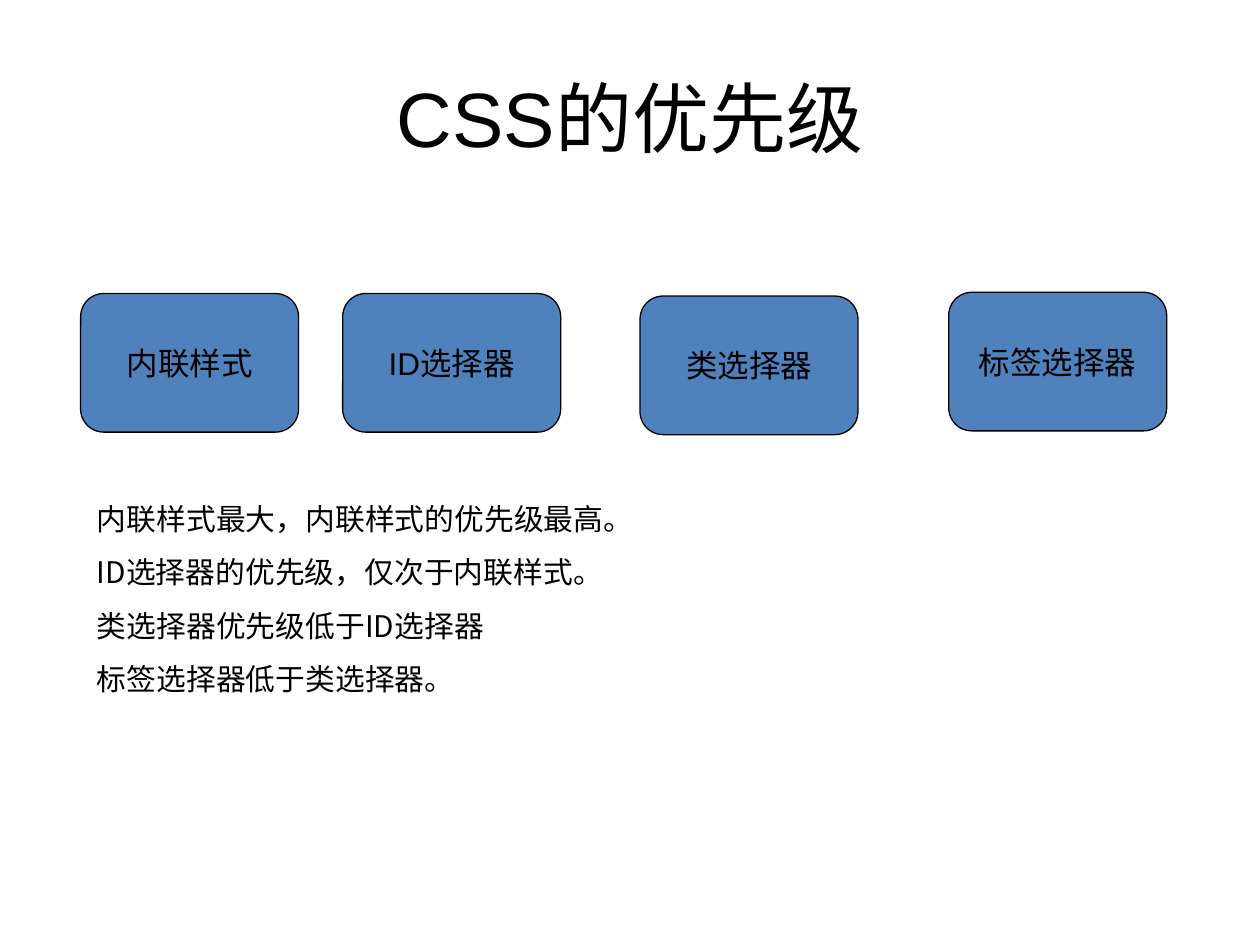
from pptx import Presentation
from pptx.dml.color import RGBColor
from pptx.enum.shapes import MSO_SHAPE
from pptx.enum.text import MSO_ANCHOR, PP_ALIGN
from pptx.oxml.ns import qn
from pptx.util import Inches, Pt
from lxml.etree import SubElement

COLORS = {"text": "000000", "box": "4F81BD", "outline": "000000"}
LATIN_FONT = "Arial"
CHINESE_FONT = "Noto Sans CJK SC"

BOX_WIDTH, BOX_HEIGHT = 1.73, 1.1
SELECTORS = [  # label, left, top
    ("内联样式", 0.64, 2.33),
    ("ID选择器", 2.72, 2.33),
    ("类选择器", 5.08, 2.35),
    ("标签选择器", 7.53, 2.32),
]
RULES = [
    "内联样式最大，内联样式的优先级最高。",
    "ID选择器的优先级，仅次于内联样式。",
    "类选择器优先级低于ID选择器",
    "标签选择器低于类选择器。",
]


def color(name):
    return RGBColor.from_string(COLORS[name])


def format_text(text_frame, size, font_name, alignment):
    for paragraph in text_frame.paragraphs:
        paragraph.alignment = alignment
        for run in paragraph.runs:
            run.font.size = Pt(size)
            run.font.name = font_name
            run.font.color.rgb = color("text")
            east_asian = SubElement(run.font._element, qn("a:ea"))
            east_asian.set("typeface", CHINESE_FONT)


def add_text(slide, text, left, top, width, height):
    shape = slide.shapes.add_textbox(
        Inches(left), Inches(top), Inches(width), Inches(height))
    text_frame = shape.text_frame
    text_frame.word_wrap = True
    text_frame.text = text
    return text_frame


def add_title(slide):
    text_frame = add_text(slide, "CSS的优先级", 0.5, 0.3, 9, 1.25)
    text_frame.vertical_anchor = MSO_ANCHOR.MIDDLE
    format_text(text_frame, 44, LATIN_FONT, PP_ALIGN.CENTER)


def add_selector(slide, label, left, top):
    shape = slide.shapes.add_shape(
        MSO_SHAPE.ROUNDED_RECTANGLE, Inches(left), Inches(top),
        Inches(BOX_WIDTH), Inches(BOX_HEIGHT))
    shape.shadow.inherit = False
    shape.fill.solid()
    shape.fill.fore_color.rgb = color("box")
    shape.line.color.rgb = color("outline")
    shape.line.width = Pt(0.75)
    text_frame = shape.text_frame
    text_frame.word_wrap = False
    text_frame.vertical_anchor = MSO_ANCHOR.MIDDLE
    text_frame.text = label
    format_text(text_frame, 18, LATIN_FONT, PP_ALIGN.CENTER)


def add_rules(slide):
    text_frame = add_text(slide, "\n".join(RULES), 0.67, 3.83, 8.58, 2.22)
    text_frame.margin_top = text_frame.margin_bottom = 0
    format_text(text_frame, 17, CHINESE_FONT, PP_ALIGN.JUSTIFY)
    for paragraph in text_frame.paragraphs:
        paragraph.line_spacing = 1.5


def main():
    presentation = Presentation()
    presentation.slide_width = Inches(10)
    presentation.slide_height = Inches(7.5)
    slide = presentation.slides.add_slide(presentation.slide_layouts[6])

    # Title
    add_title(slide)

    # Selector boxes, highest priority first
    for label, left, top in SELECTORS:
        add_selector(slide, label, left, top)

    # Priority rules
    add_rules(slide)

    presentation.save("out.pptx")


if __name__ == "__main__":
    main()
